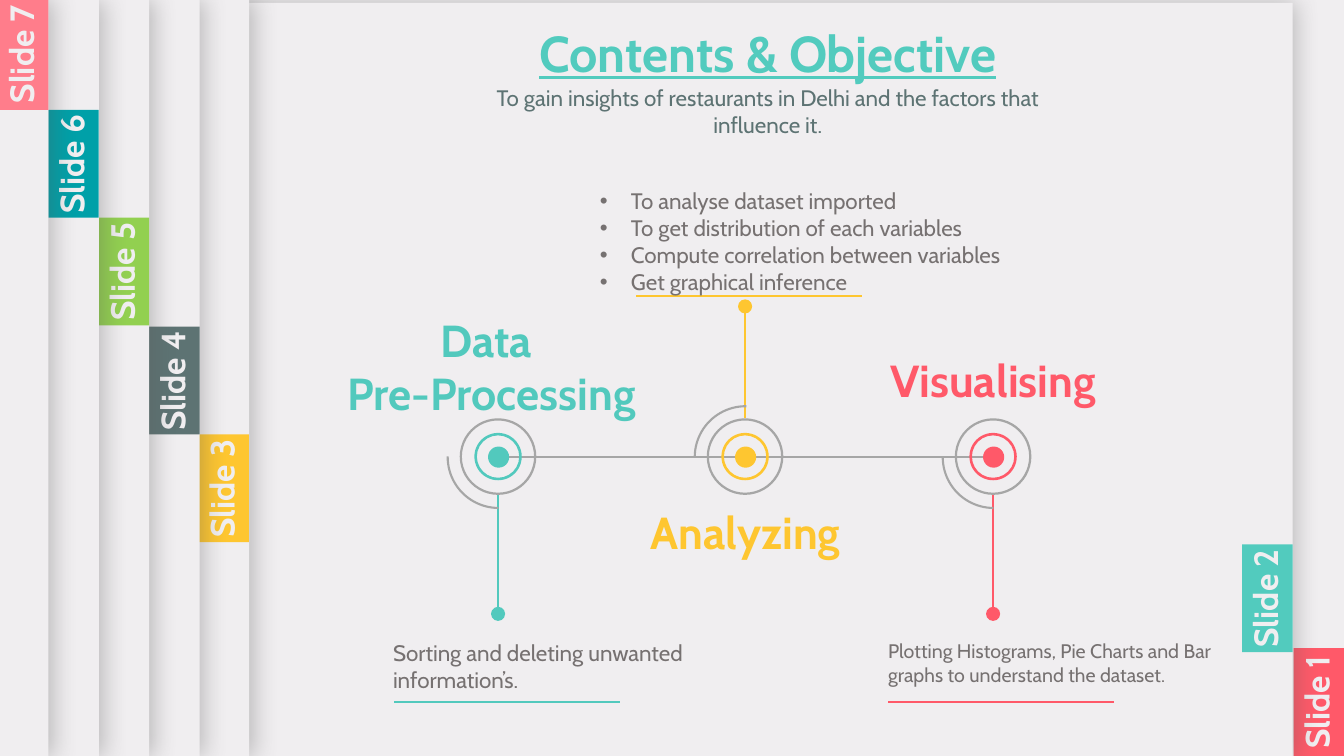
from lxml import etree
from pptx import Presentation
from pptx.dml.color import RGBColor
from pptx.enum.shapes import MSO_CONNECTOR, MSO_SHAPE
from pptx.enum.text import PP_ALIGN
from pptx.oxml import parse_xml
from pptx.oxml.ns import qn
from pptx.util import Inches, Pt

RECT, OVAL, DONUT, ARC = (MSO_SHAPE.RECTANGLE, MSO_SHAPE.OVAL,
                          MSO_SHAPE.DONUT, MSO_SHAPE.ARC)
STRAIGHT = MSO_CONNECTOR.STRAIGHT
LEFT, CENTER = PP_ALIGN.LEFT, PP_ALIGN.CENTER
PAPER, GRAY, BODY = "F0EEF0", "A6A6A6", "767171"
TEAL, YELLOW, RED, SLATE = "52C9BD", "FEC630", "FF5969", "5D7373"
TITLE_TEAL = "52CBBE"
SHADOW = (
    '<a:outerShdw xmlns:a="http://schemas.openxmlformats.org/drawingml/2006/main"'
    ' blurRad="215900" dist="38100" dir="0" algn="l" rotWithShape="0">'
    '<a:srgbClr val="595959"><a:alpha val="35000"/></a:srgbClr></a:outerShdw>'
)

prs = Presentation()
prs.slide_width, prs.slide_height = Inches(13.33), Inches(7.5)
slide = prs.slides.add_slide(prs.slide_layouts[6])
slide.background.fill.solid()
slide.background.fill.fore_color.rgb = RGBColor.from_string(PAPER)


def add_solid(preset, left, top, width, height, color):
    shape = slide.shapes.add_shape(
        preset, Inches(left), Inches(top), Inches(width), Inches(height))
    shape.shadow.inherit = False
    shape.fill.solid()
    shape.fill.fore_color.rgb = RGBColor.from_string(color)
    shape.line.fill.background()
    return shape


def add_text(lines, left, top, width, height, size, color, align=CENTER, bold=False):
    box = slide.shapes.add_textbox(
        Inches(left), Inches(top), Inches(width), Inches(height))
    frame = box.text_frame
    frame.word_wrap = True
    frame.text = "\n".join(lines)
    for paragraph in frame.paragraphs:
        paragraph.alignment = align
        font = paragraph.runs[0].font
        font.name, font.size, font.bold = "Cabin", Pt(size), bold
        font.color.rgb = RGBColor.from_string(color)
    return box


# Stacked pages with index tabs: right edge, page top, tab top, tab height, color
pages = [
    (13.33, 0, 6.43, 1.07, RED),
    (12.82, 0.03, 5.4, 1.07, TITLE_TEAL),
    (2.47, 0, 4.31, 1.07, YELLOW),
    (1.98, 0, 3.24, 1.07, SLATE),
    (1.48, 0, 2.16, 1.07, "92D050"),
    (0.98, 0, 1.09, 1.07, "00A0A8"),
    (0.48, 0, -0.01, 1.1, "FF7D8B"),
]
for number, (right, page_top, tab_top, tab_height, color) in enumerate(pages, 1):
    page = add_solid(RECT, right - 13.65, page_top, 13.65, 7.5, PAPER)
    page._element.spPr.find(qn("a:effectLst")).append(parse_xml(SHADOW))
    add_solid(RECT, right - 0.5, tab_top, 0.5, tab_height, color)
    label = add_text([f"Slide {number}"], right - 0.87, tab_top + tab_height / 2 - 0.25,
                     1.19, 0.5, 24, PAPER, bold=True)
    label.rotation = 270

# Heading
title = add_text(["Contents & Objective"], 4.97, 0.17, 5.29, 0.71, 36, TITLE_TEAL, bold=True)
title.text_frame.paragraphs[0].runs[0].font.underline = True
add_text(["To gain insights of restaurants in Delhi and the factors that influence it."],
         4.61, 0.79, 6.01, 0.91, 16, SLATE)

# Timeline stages: center, color, stem start, stem end, arc rotation, underline left and height
AXIS = 4.53
stages = [
    (4.94, TEAL, 6.09, 4.91, 0, 3.91, 6.96),
    (7.39, YELLOW, 3.04, 4.15, 90, 6.31, 2.94),
    (9.85, RED, 6.09, 4.91, 0, 8.81, 6.96),
]

# Axis, stems and underlines
lines = [(4.99, AXIS, 7.29, AXIS, GRAY), (7.46, AXIS, 9.75, AXIS, GRAY)]
for center, color, stem_start, stem_end, _, rule_left, rule_top in stages:
    lines.append((center, stem_start, center, stem_end, color))
    lines.append((rule_left, rule_top, rule_left + 2.24, rule_top, color))
for x1, y1, x2, y2, color in lines:
    line = slide.shapes.add_connector(
        STRAIGHT, Inches(x1), Inches(y1), Inches(x2), Inches(y2))
    line.line.color.rgb = RGBColor.from_string(color)
    line.line.width = Pt(1.5)
    etree.SubElement(line._element.spPr, qn("a:effectLst"))

# Stage markers
for center, color, stem_start, _, arc_rotation, _, _ in stages:
    arc = add_solid(ARC, center - 0.5, AXIS - 0.5, 1.01, 1.01, GRAY)
    arc.fill.background()
    arc.line.color.rgb = RGBColor.from_string(GRAY)
    arc.line.width = Pt(1.5)
    arc.adjustments[0], arc.adjustments[1] = 54.2, 108.53
    arc.rotation = arc_rotation
    add_solid(OVAL, center - 0.1, AXIS - 0.1, 0.21, 0.21, color)
    for diameter, thickness, ring_color in [(0.47, 0.053, color), (0.76, 0.029, GRAY)]:
        ring = add_solid(DONUT, center - diameter / 2, AXIS - diameter / 2,
                         diameter, diameter, ring_color)
        ring.adjustments[0] = thickness
    add_solid(OVAL, center - 0.07, stem_start - 0.07, 0.14, 0.14, color)

# Stage names
add_text(["Data ", "Pre-Processing"], 3.24, 3.05, 3.27, 1.18, 32, TEAL, bold=True)
add_text(["Analyzing"], 6.25, 4.96, 2.29, 0.64, 32, YELLOW, bold=True)
add_text(["Visualising"], 8.55, 3.45, 2.6, 0.64, 32, RED, bold=True)

# Stage descriptions
add_text(["Sorting and deleting unwanted information’s."],
         3.8, 6.29, 3.5, 0.64, 16, BODY, LEFT)
add_text(["Plotting Histograms, Pie Charts and Bar graphs to understand the dataset."],
         8.71, 6.29, 3.5, 0.57, 14, BODY, LEFT)
analysis = add_text(
    ["To analyse dataset imported", "To get distribution of each variables",
     "Compute correlation between variables", "Get graphical inference"],
    5.85, 1.81, 4.75, 2.26, 16, BODY, LEFT)
for paragraph in analysis.text_frame.paragraphs:
    properties = paragraph._p.get_or_add_pPr()
    properties.set("marL", str(Inches(0.31)))
    properties.set("indent", str(-Inches(0.31)))
    etree.SubElement(properties, qn("a:buFont")).set("typeface", "Arial")
    etree.SubElement(properties, qn("a:buChar")).set("char", "•")

prs.save("out.pptx")
